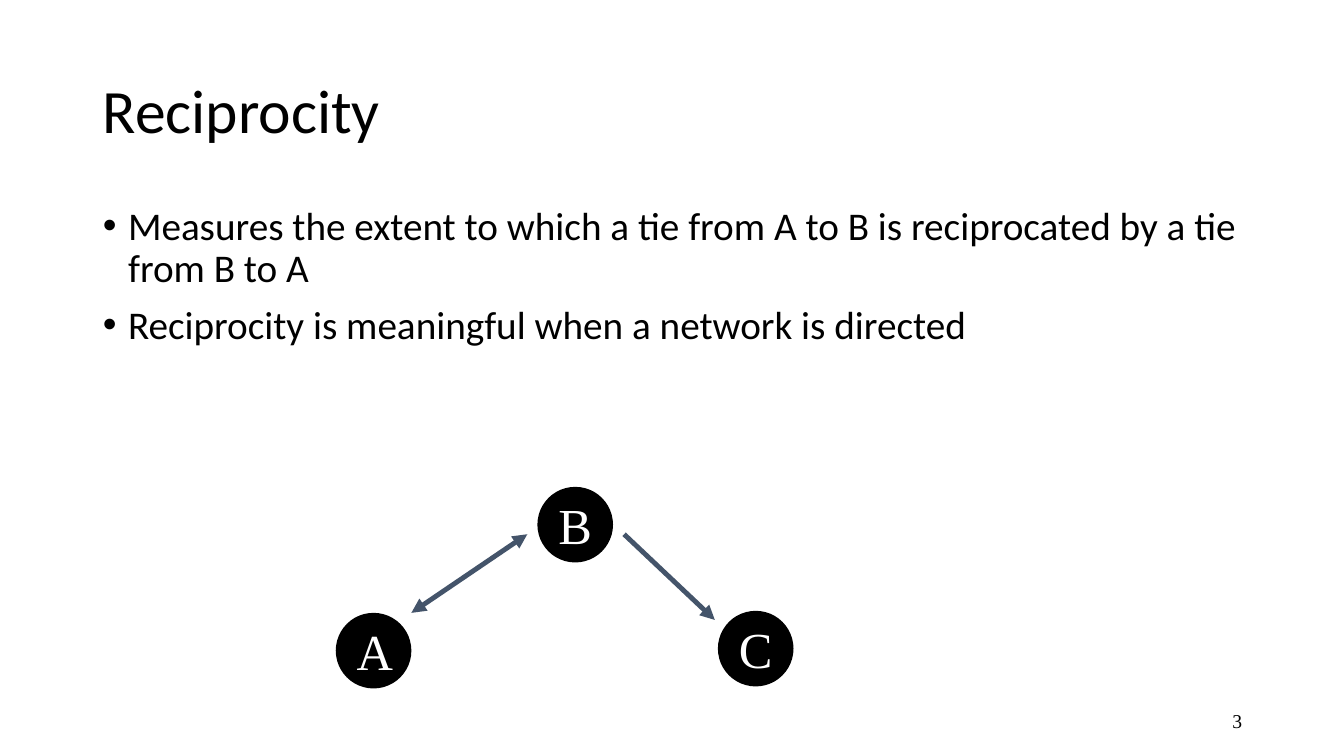
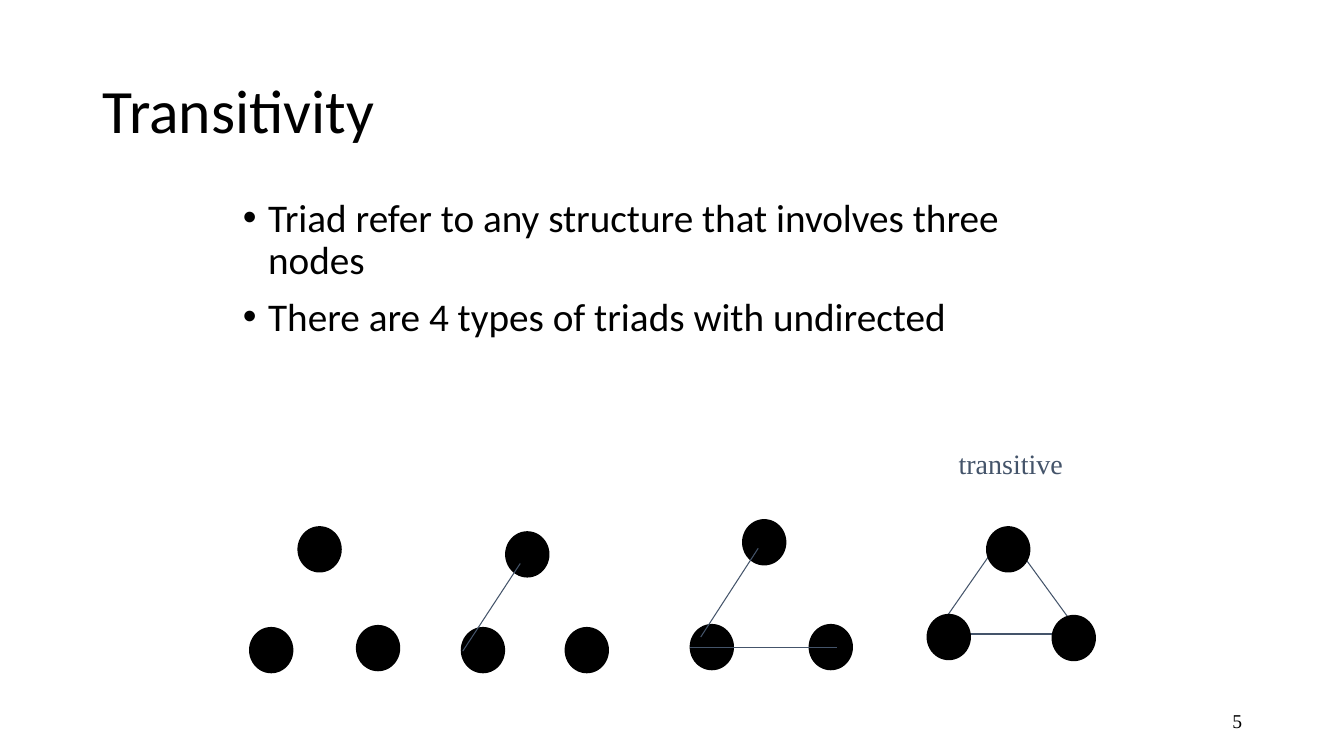
"""Build two slides on network measures: reciprocity and transitivity."""
import dataclasses

import pptx
import pptx.dml.color
import pptx.enum.shapes
import pptx.enum.text
import pptx.oxml
import pptx.oxml.ns
import pptx.util

PX = 9144
ALIGN = pptx.enum.text.PP_ALIGN
ANCHOR = pptx.enum.text.MSO_ANCHOR


@dataclasses.dataclass(frozen=True)
class Theme:
    """Colours, fonts and type sizes shared by the slides."""
    ink: str = "000000"
    paper: str = "FFFFFF"
    edge: str = "44546A"
    sans: str = "Calibri"
    serif: str = "Times New Roman"
    title: int = 44
    body: int = 28
    node: int = 36
    label: int = 20
    number: int = 14
    arrow: float = 3.5
    tie: float = 0.75


THEME = Theme()
TITLE_BOX = (92, 40, 1150, 145)
NUMBER_BOX = (942, 695, 300, 40)
BULLET_INDENT = 25
ACTOR_SIZE = (75, 75)
DOT_SIZE = (44, 46)

ACTORS = {"A": (333, 608), "B": (533, 483), "C": (712, 606)}

EMPTY_TRIAD = [(295, 522), (247, 622), (353, 620)]
ONE_TIE_TRIAD = [(501, 527), (457, 622), (560, 622)]
TWO_TIE_TRIAD = [(736, 515), (684, 619), (802, 619)]
CLOSED_TRIAD = [(978, 522), (1043, 610), (919, 609)]

ONE_TIE = [((516, 559), (459, 646))]
TWO_TIES = [((830, 642), (684, 642)), ((752, 544), (695, 632))]
CLOSED_TIES = [((991, 537), (936, 616)), ((1008, 542), (1059, 612)),
               ((1082, 629), (936, 629))]


def emu(*lengths):
    """Turn px lengths into EMU."""
    return [pptx.util.Emu(length * PX) for length in lengths]


def rgb(code):
    """Return the colour for a hex code."""
    return pptx.dml.color.RGBColor.from_string(code)


def add_run(paragraph, text, size, font, colour):
    """Append a formatted run to a paragraph."""
    run = paragraph.add_run()
    run.text = text
    run.font.size = pptx.util.Pt(size)
    run.font.name = font
    run.font.color.rgb = rgb(colour)


def place(shape, box):
    """Move and size a shape."""
    shape.left, shape.top, shape.width, shape.height = emu(*box)


def add_title(slide, text):
    """Fill the title placeholder."""
    title = slide.shapes.title
    place(title, TITLE_BOX)
    frame = title.text_frame
    frame.vertical_anchor = ANCHOR.MIDDLE
    frame.auto_size = pptx.enum.text.MSO_AUTO_SIZE.NONE
    heading = frame.paragraphs[0]
    heading.alignment = ALIGN.LEFT
    heading.line_spacing = 0.9
    add_run(heading, text, THEME.title, THEME.sans, THEME.ink)


def add_points(slide, box, points):
    """Fill the body placeholder with bulleted points."""
    body = slide.placeholders[1]
    place(body, box)
    frame = body.text_frame
    frame.auto_size = pptx.enum.text.MSO_AUTO_SIZE.NONE
    for index, text in enumerate(points):
        point = frame.add_paragraph() if index else frame.paragraphs[0]
        point.line_spacing = 0.9
        point.space_before = pptx.util.Pt(10)
        properties = point._p.get_or_add_pPr()
        properties.set("marL", str(BULLET_INDENT * PX))
        properties.set("indent", str(-BULLET_INDENT * PX))
        add_run(point, text, THEME.body, THEME.sans, THEME.ink)
    return body


def add_label(slide, box, text, size, colour, align=ALIGN.LEFT,
              anchor=ANCHOR.TOP, wrap=True):
    """Add a serif text box."""
    frame = slide.shapes.add_textbox(*emu(*box)).text_frame
    frame.word_wrap = wrap
    frame.vertical_anchor = anchor
    frame.paragraphs[0].alignment = align
    add_run(frame.paragraphs[0], text, size, THEME.serif, colour)


def add_node(slide, corner, size, letter=""):
    """Add a round network node, lettered if asked."""
    node = slide.shapes.add_shape(
        pptx.enum.shapes.MSO_SHAPE.OVAL, *emu(*corner, *size))
    node.shadow.inherit = False
    node.fill.solid()
    node.fill.fore_color.rgb = rgb(THEME.ink)
    node.line.fill.background()
    if letter:
        frame = node.text_frame
        frame.vertical_anchor = ANCHOR.MIDDLE
        frame.paragraphs[0].alignment = ALIGN.CENTER
        add_run(frame.paragraphs[0], letter, THEME.node, THEME.serif,
                THEME.paper)


def add_tie(slide, start, end, width, arrowheads=()):
    """Add a line between nodes with arrowheads at the named ends."""
    tie = slide.shapes.add_connector(
        pptx.enum.shapes.MSO_CONNECTOR.STRAIGHT, *emu(*start, *end))
    tie.line.color.rgb = rgb(THEME.edge)
    tie.line.width = pptx.util.Pt(width)
    outline = tie.line._get_or_add_ln()
    for name in arrowheads:
        arrowhead = pptx.oxml.parse_xml(
            f'<a:{name} {pptx.oxml.ns.nsdecls("a")} type="triangle"/>')
        outline.append(arrowhead)
    tie._element.spPr.append(pptx.oxml.parse_xml(
        f'<a:effectLst {pptx.oxml.ns.nsdecls("a")}/>'))


def add_dots(slide, corners):
    """Add the nodes of a triad."""
    for corner in corners:
        add_node(slide, corner, DOT_SIZE)


def add_ties(slide, ties):
    """Add the thin undirected ties of a triad."""
    for start, end in ties:
        add_tie(slide, start, end, THEME.tie)


def start_slide(deck, title, number):
    """Add a slide with its title and number."""
    slide = deck.slides.add_slide(deck.slide_layouts[1])
    for placeholder in list(slide.placeholders)[2:]:
        placeholder._element.getparent().remove(placeholder._element)
    add_title(slide, title)
    add_label(slide, NUMBER_BOX, number, THEME.number, THEME.ink,
              ALIGN.RIGHT, ANCHOR.MIDDLE)
    return slide


def build_reciprocity(deck):
    """Build the slide on directed ties."""
    slide = start_slide(deck, "Reciprocity", "3")
    add_points(slide, (92, 200, 1150, 476), [
        "Measures the extent to which a tie from A to B is reciprocated "
        "by a tie from B to A",
        "Reciprocity is meaningful when a network is directed",
    ])
    for letter, corner in ACTORS.items():
        add_node(slide, corner, ACTOR_SIZE, letter)
    add_tie(slide, (523, 530), (408, 608), THEME.arrow,
            ("headEnd", "tailEnd"))
    add_tie(slide, (619, 530), (709, 615), THEME.arrow, ("tailEnd",))


def build_transitivity(deck):
    """Build the slide on the four undirected triads."""
    slide = start_slide(deck, "Transitivity", "5")
    body = add_points(slide, (231, 192, 850, 479), [
        "Triad refer to any structure that involves three nodes",
        "There are 4 types of triads with undirected",
    ])
    body.fill.solid()
    body.fill.fore_color.rgb = rgb(THEME.paper)
    add_ties(slide, CLOSED_TIES)
    for triad in (EMPTY_TRIAD, ONE_TIE_TRIAD, TWO_TIE_TRIAD, CLOSED_TRIAD):
        add_dots(slide, triad)
    add_ties(slide, ONE_TIE + TWO_TIES)
    add_label(slide, (941, 438, 124, 44), "transitive", THEME.label,
              THEME.edge, wrap=False)


def main():
    """Build and save the deck."""
    deck = pptx.Presentation()
    deck.slide_width, deck.slide_height = emu(1333, 750)
    build_reciprocity(deck)
    build_transitivity(deck)
    deck.save("out.pptx")


if __name__ == "__main__":
    main()
